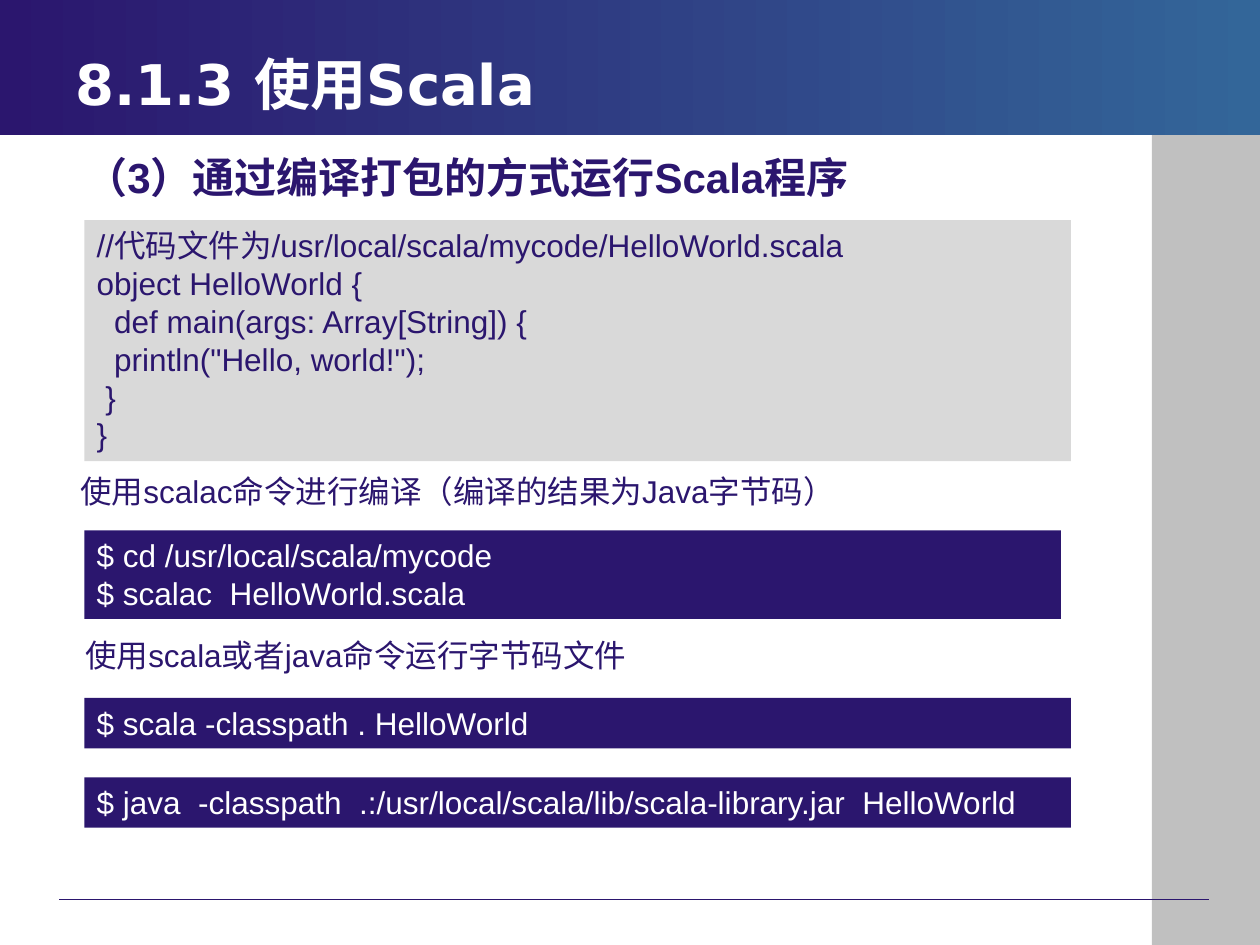
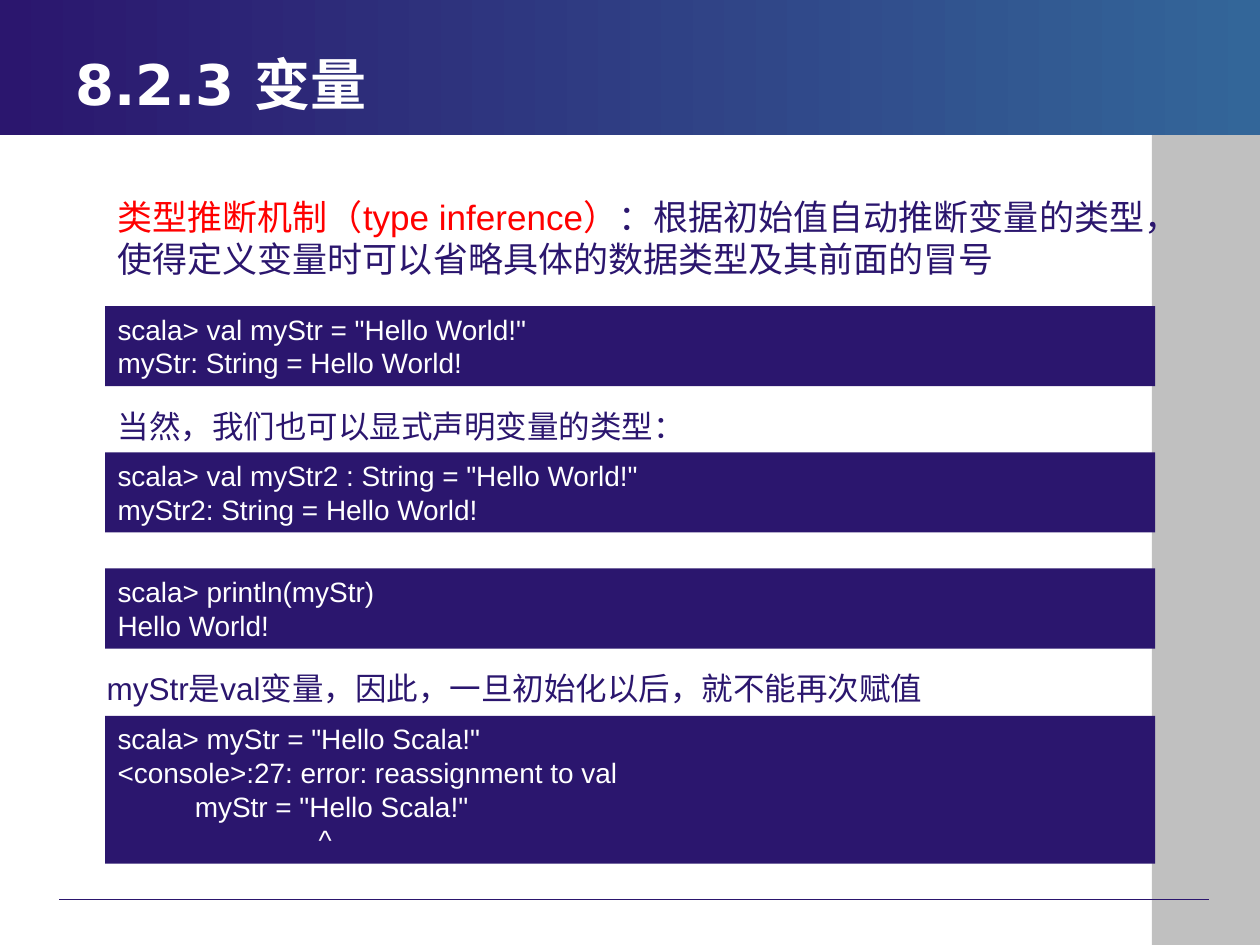
from lxml import etree
from pptx import Presentation
from pptx import util as u
from pptx.dml.color import RGBColor
from pptx.enum import shapes, text
from pptx.oxml.ns import qn

COLOURS = {
    "navy": "2B166E",
    "blue": "336699",
    "side": "C0C0C0",
    "code": "D9D9D9",
    "red": "FF0000",
    "white": "FFFFFF",
}
SLIDE_WIDTH, SLIDE_HEIGHT = u.Cm(25.4), u.Cm(19.05)
BAND_HEIGHT = u.Cm(2.72)
SIDE_LEFT = u.Cm(23.22)
LINE_SPACING = 1.21
CAPTION_SIZE = 18


def colour(name):
    """Return the named colour as an RGBColor."""
    return RGBColor.from_string(COLOURS[name])


def text_height(line_count, size):
    """Return the height of a box that fits its lines of text."""
    return u.Cm(0.25) + u.Pt(line_count * size * LINE_SPACING)


def set_attributes(target, values):
    """Set each named attribute of the target."""
    for name, value in values.items():
        setattr(target, name, value)


def write_text(shape, paragraphs, size, font="Arial", bold=False, anchor=text.MSO_ANCHOR.TOP):
    """Fill a shape with paragraphs, each a list of (words, colour name) runs."""
    frame = shape.text_frame
    set_attributes(frame, {"word_wrap": True, "vertical_anchor": anchor})
    for index, runs in enumerate(paragraphs):
        paragraph = frame.add_paragraph() if index else frame.paragraphs[0]
        paragraph.alignment = text.PP_ALIGN.LEFT
        for words, colour_name in runs:
            run = paragraph.add_run()
            run.text = words
            set_attributes(run.font, {"name": font, "size": u.Pt(size), "bold": bold})
            run.font.color.rgb = colour(colour_name)


def add_rectangle(slide, left, top, width, height, fill):
    """Add a flat rectangle without an outline."""
    shape = slide.shapes.add_shape(shapes.MSO_SHAPE.RECTANGLE, left, top, width, height)
    shape.shadow.inherit = False
    shape.line.fill.background()
    shape.fill.solid()
    shape.fill.fore_color.rgb = colour(fill)
    return shape


def add_footer_rule(slide):
    """Add the thin rule at the foot of the slide."""
    top = u.Cm(18.13)
    rule = slide.shapes.add_connector(
        shapes.MSO_CONNECTOR.STRAIGHT, u.Cm(1.19), top, u.Cm(24.38), top)
    rule.line.color.rgb = colour("navy")
    rule.line.width = u.Pt(0.75)
    etree.SubElement(rule._element.spPr, qn("a:effectLst"))


def add_title_band(slide, title):
    """Add the gradient band with the slide title on it."""
    band = add_rectangle(slide, 0, 0, SLIDE_WIDTH, BAND_HEIGHT, "navy")
    band.fill.gradient()
    band.fill.gradient_angle = 0
    for stop, name, position in zip(band.fill.gradient_stops, ("navy", "blue"), (0, 1)):
        stop.color.rgb = colour(name)
        stop.position = position
    box = slide.shapes.add_textbox(u.Cm(1.27), u.Cm(0.89), u.Cm(21.95), u.Cm(1.57))
    write_text(box, [[(title, "white")]], 32, "DejaVu Sans", True, text.MSO_ANCHOR.MIDDLE)


def add_framed_slide(presentation, title):
    """Add a slide with the shared side bar, rule and title band."""
    slide = presentation.slides.add_slide(presentation.slide_layouts[6])
    add_rectangle(slide, SIDE_LEFT, BAND_HEIGHT, SLIDE_WIDTH - SIDE_LEFT,
                  SLIDE_HEIGHT - BAND_HEIGHT, "side")
    add_footer_rule(slide)
    add_title_band(slide, title)
    return slide


def add_caption(slide, left, top, runs, size=CAPTION_SIZE, bold=False, line_count=1):
    """Add one paragraph of explanation."""
    box = slide.shapes.add_textbox(
        u.Cm(left), u.Cm(top), u.Cm(22.43), text_height(line_count, size))
    write_text(box, [runs], size, bold=bold)


def add_code(slide, left, top, width, code, size, fill="navy", ink="white"):
    """Add a filled box holding lines of code."""
    lines = code.split("\n")
    box = add_rectangle(slide, u.Cm(left), u.Cm(top), u.Cm(width),
                        text_height(len(lines), size), fill)
    write_text(box, [[(line, ink)] for line in lines], size)


def build_compile_slide(presentation):
    """Show how a Scala program is compiled and run."""
    slide = add_framed_slide(presentation, "8.1.3 使用Scala")
    add_caption(slide, 1.47, 2.92, [("（3）通过编译打包的方式运行Scala程序", "navy")], 24, True)
    source = """//代码文件为/usr/local/scala/mycode/HelloWorld.scala
object HelloWorld {
  def main(args: Array[String]) {
  println("Hello, world!");
 }
}"""
    add_code(slide, 1.7, 4.44, 19.89, source, 18, "code", "navy")
    add_caption(slide, 1.37, 9.4, [("使用scalac命令进行编译（编译的结果为Java字节码）", "navy")])
    add_caption(slide, 1.47, 12.7, [("使用scala或者java命令运行字节码文件", "navy")])
    commands = [
        (10.69, 19.69, "$ cd /usr/local/scala/mycode\n$ scalac  HelloWorld.scala"),
        (14.07, 19.89, "$ scala -classpath . HelloWorld"),
        (15.67, 19.89, "$ java  -classpath  .:/usr/local/scala/lib/scala-library.jar  HelloWorld"),
    ]
    for top, width, command in commands:
        add_code(slide, 1.7, top, width, command, 18)


def build_variable_slide(presentation):
    """Show type inference and reassignment of a val."""
    slide = add_framed_slide(presentation, "8.2.3 变量")
    inference = [
        ("类型推断机制（type inference）", "red"),
        ("：根据初始值自动推断变量的类型，使得定义变量时可以省略具体的数据类型及其前面的冒号", "navy"),
    ]
    add_caption(slide, 2.12, 3.81, inference, 20, line_count=2)
    add_caption(slide, 2.12, 8.08, [("当然，我们也可以显式声明变量的类型：", "navy")])
    add_caption(slide, 1.9, 13.36, [("myStr是val变量，因此，一旦初始化以后，就不能再次赋值", "navy")])
    sessions = [
        (6.17, 'scala> val myStr = "Hello World!"\nmyStr: String = Hello World!'),
        (9.12, 'scala> val myStr2 : String = "Hello World!"\nmyStr2: String = Hello World!'),
        (11.46, "scala> println(myStr)\nHello World!"),
        (14.43, """scala> myStr = "Hello Scala!"
<console>:27: error: reassignment to val
          myStr = "Hello Scala!"
                          ^"""),
    ]
    for top, session in sessions:
        add_code(slide, 2.12, top, 21.17, session, 16)


def main():
    """Build and save the presentation."""
    presentation = Presentation()
    set_attributes(presentation, {"slide_width": SLIDE_WIDTH, "slide_height": SLIDE_HEIGHT})
    build_compile_slide(presentation)
    build_variable_slide(presentation)
    presentation.save("out.pptx")


if __name__ == "__main__":
    main()
